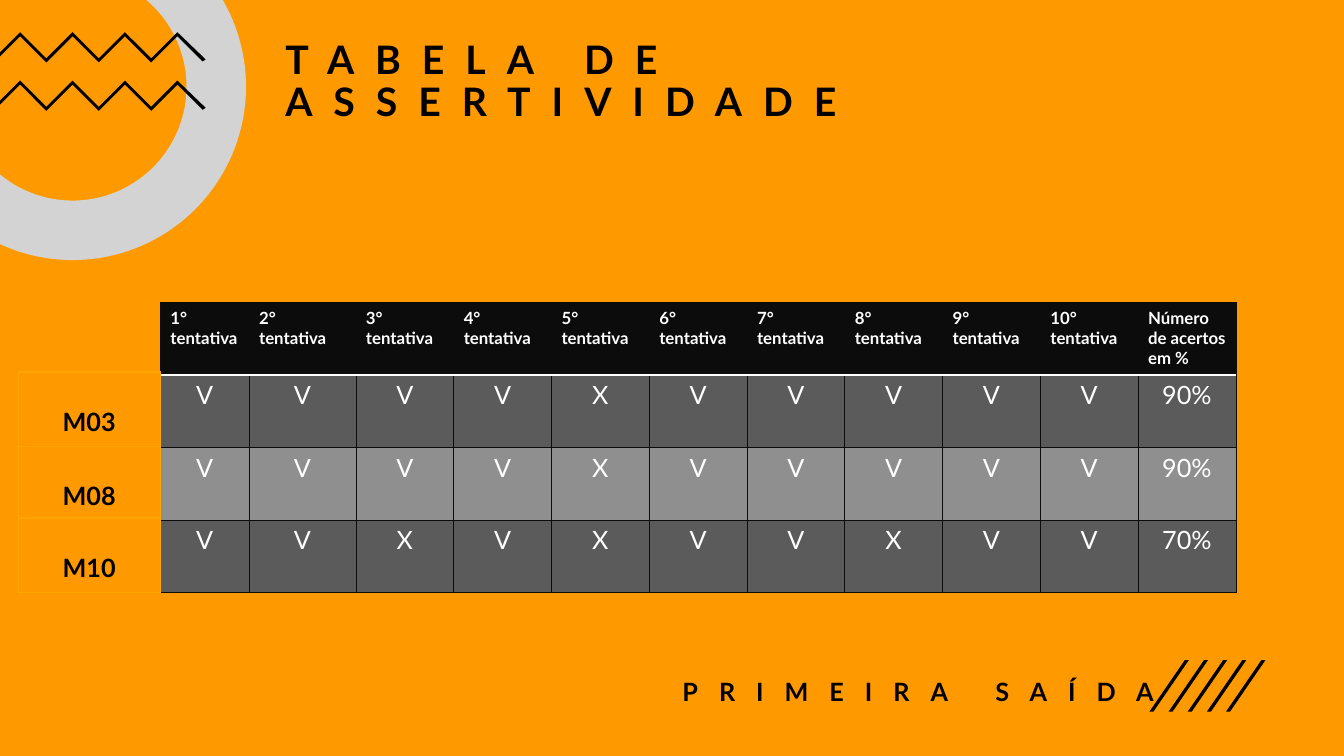
"""Build the slide with the hit table of the first output."""
from math import acos, asin, cos, degrees, radians, sin

from lxml.etree import SubElement
from pptx import Presentation
from pptx.dml.color import RGBColor
from pptx.enum.text import MSO_ANCHOR, MSO_AUTO_SIZE, PP_ALIGN
from pptx.oxml.ns import qn
from pptx.util import Inches, Pt

TITLE = "TABELA DE ASSERTIVIDADE"
SUBTITLE = "PRIMEIRA SAÍDA"
HEADERS = ["1° tentativa"] + [f"{number}°\ntentativa" for number in range(2, 11)]
HEADERS.append("Número de acertos em %")
RESULTS = [("M03", "VVVVXVVVVV", "90%"),
           ("M08", "VVVVXVVVVV", "90%"),
           ("M10", "VVXVXVVXVV", "70%")]

ORANGE = RGBColor(0xFF, 0x99, 0x00)
AMBER = RGBColor(0xFF, 0xA5, 0x00)
BLACK = RGBColor(0x00, 0x00, 0x00)
WHITE = RGBColor(0xFF, 0xFF, 0xFF)
INK = RGBColor(0x0C, 0x0C, 0x0C)
RING_GRAY = RGBColor(0xD3, 0xD3, 0xD3)
BANDS = [RGBColor(0x5B, 0x5B, 0x5B), RGBColor(0x8F, 0x8F, 0x8F)]

FONT = "Lato"
TITLE_BOX = (2.73, -0.15, 9.83, 1.44)
SUBTITLE_BOX = (6.67, 5.62, 5.29, 1.44)
TABLE_LEFT, TABLE_TOP, ROW_HEIGHT = 1.59, 3, 0.72
COLUMN_WIDTHS = [0.88, 1.06] + [0.97] * 9
LABEL_LEFT, LABEL_TOP, LABEL_WIDTH = 0.18, 3.69, 1.41
LABEL_HEIGHTS = [0.74, 0.71, 0.74]
RING_X, RING_Y, RING_OUTER, RING_INNER = 0.72, 0.86, 1.72, 1.13
ZIGZAG_TOPS = [0.32, 0.8]
SLASH_LEFT, SLASH_TOP, SLASH_STEP, SLASH_COUNT = 11.4, 6.55, 0.19, 5


def add_outline(shapes, points, color):
    """Draw a closed filled outline through points given in inches."""
    corners = [(Inches(x), Inches(y)) for x, y in points]
    builder = shapes.build_freeform(*corners[0])
    builder.add_line_segments(corners[1:], close=True)
    shape = builder.convert_to_shape()
    shape.shadow.inherit = False
    shape.fill.solid()
    shape.fill.fore_color.rgb = color
    shape.line.fill.background()


def arc_points(radius, start, end, steps=60):
    """Return points of the ring's circle from one angle to another."""
    angles = [radians(start + (end - start) * step / steps) for step in range(steps + 1)]
    return [(RING_X + radius * cos(angle), RING_Y + radius * sin(angle)) for angle in angles]


def add_ring(shapes):
    """Draw the ring cut by the slide's top and left edges."""
    top_outer, top_inner = [-degrees(asin(RING_Y / radius)) for radius in (RING_OUTER, RING_INNER)]
    left_outer, left_inner = [degrees(acos(-RING_X / radius)) for radius in (RING_OUTER, RING_INNER)]
    points = arc_points(RING_OUTER, top_outer, left_outer)
    points += arc_points(RING_INNER, left_inner, top_inner)
    add_outline(shapes, points, RING_GRAY)


def add_zigzag(shapes, top):
    """Draw one zigzag band that starts at the left edge."""
    upper = [(0.2 + 0.26 * step, top + 0.26 * (step % 2)) for step in range(7)]
    lower = [(x, y + 0.04) for x, y in reversed(upper)]
    tip = [(2.04, top + 0.27), (2.01, top + 0.29)]
    edge = [(0, top + 0.24), (0, top + 0.2)]
    add_outline(shapes, upper + tip + lower + edge, BLACK)


def style_text(paragraph, size, color, bold):
    """Format every run of a paragraph."""
    for run in paragraph.runs:
        run.font.name, run.font.size, run.font.bold = FONT, Pt(size), bold
        run.font.color.rgb = color


def set_heading(shape, box, text, size):
    """Place a heading and set its widely spaced text."""
    shape.left, shape.top, shape.width, shape.height = map(Inches, box)
    frame = shape.text_frame
    frame.text = text
    frame.word_wrap = True
    frame.auto_size = MSO_AUTO_SIZE.NONE
    frame.vertical_anchor = MSO_ANCHOR.BOTTOM
    paragraph = frame.paragraphs[0]
    paragraph.alignment = PP_ALIGN.LEFT
    paragraph.line_spacing = 0.9
    style_text(paragraph, size, BLACK, True)
    paragraph.runs[0].font._element.set("spc", "1500")


def set_borders(cell, color, width, **special):
    """Draw the four borders; special maps a side to its own color and width."""
    properties = cell._tc.get_or_add_tcPr()
    for side in "LRTB":
        side_color, side_width = special.get(side, (color, width))
        line = SubElement(properties, qn(f"a:ln{side}"), w=str(Pt(side_width)))
        fill = SubElement(line, qn("a:solidFill"))
        SubElement(fill, qn("a:srgbClr"), val=str(side_color))


def add_grid(shapes, left, top, widths, heights):
    """Add a table without banding and return it."""
    box = map(Inches, (left, top, sum(widths), sum(heights)))
    table = shapes.add_table(len(heights), len(widths), *box).table
    table.first_row = table.horz_banding = False
    for column, width in zip(table.columns, widths):
        column.width = Inches(width)
    for row, height in zip(table.rows, heights):
        row.height = Inches(height)
    return table


def fill_results(table):
    """Write the header and the result rows."""
    rows = [HEADERS] + [[*marks, share] for _, marks, share in RESULTS]
    for row_index, texts in enumerate(rows):
        header = row_index == 0
        special = {0: {"B": (WHITE, 1)}, 1: {"T": (WHITE, 1)}}.get(row_index, {})
        for column_index, text in enumerate(texts):
            cell = table.cell(row_index, column_index)
            cell.text = text
            set_borders(cell, INK, 0.5, **special)
            cell.fill.solid()
            cell.fill.fore_color.rgb = INK if header else BANDS[(row_index - 1) % 2]
            for paragraph in cell.text_frame.paragraphs:
                paragraph.alignment = PP_ALIGN.LEFT if header else PP_ALIGN.CENTER
                style_text(paragraph, 12 if header else 18, WHITE, header)


def fill_labels(table):
    """Write the row labels beside the results."""
    for row_index, (label, _, _) in enumerate(RESULTS):
        cell = table.cell(row_index, 0)
        cell.text = label
        cell.margin_top = Inches(0.34)
        set_borders(cell, AMBER, 1)
        cell.fill.background()
        paragraph = cell.text_frame.paragraphs[0]
        paragraph.alignment = PP_ALIGN.CENTER
        style_text(paragraph, 18, BLACK, True)


def main():
    """Create the slide and save it."""
    presentation = Presentation()
    presentation.slide_width, presentation.slide_height = Inches(13.33), Inches(7.5)
    slide = presentation.slides.add_slide(presentation.slide_layouts[5])
    slide.background.fill.solid()
    slide.background.fill.fore_color.rgb = ORANGE
    shapes = slide.shapes

    add_ring(shapes)
    for top in ZIGZAG_TOPS:
        add_zigzag(shapes, top)
    set_heading(shapes.title, TITLE_BOX, TITLE, 28)

    slashes = shapes.add_group_shape().shapes
    for index in range(SLASH_COUNT):
        left, bottom = SLASH_LEFT + index * SLASH_STEP, SLASH_TOP + 0.51
        points = [(left + 0.04, bottom), (left, bottom),
                  (left + 0.35, SLASH_TOP), (left + 0.39, SLASH_TOP)]
        add_outline(slashes, points, BLACK)
    set_heading(shapes.add_textbox(0, 0, 0, 0), SUBTITLE_BOX, SUBTITLE, 18)

    row_heights = [ROW_HEIGHT] * (len(RESULTS) + 1)
    fill_results(add_grid(shapes, TABLE_LEFT, TABLE_TOP, COLUMN_WIDTHS, row_heights))
    fill_labels(add_grid(shapes, LABEL_LEFT, LABEL_TOP, [LABEL_WIDTH], LABEL_HEIGHTS))
    presentation.save("out.pptx")


if __name__ == "__main__":
    main()
